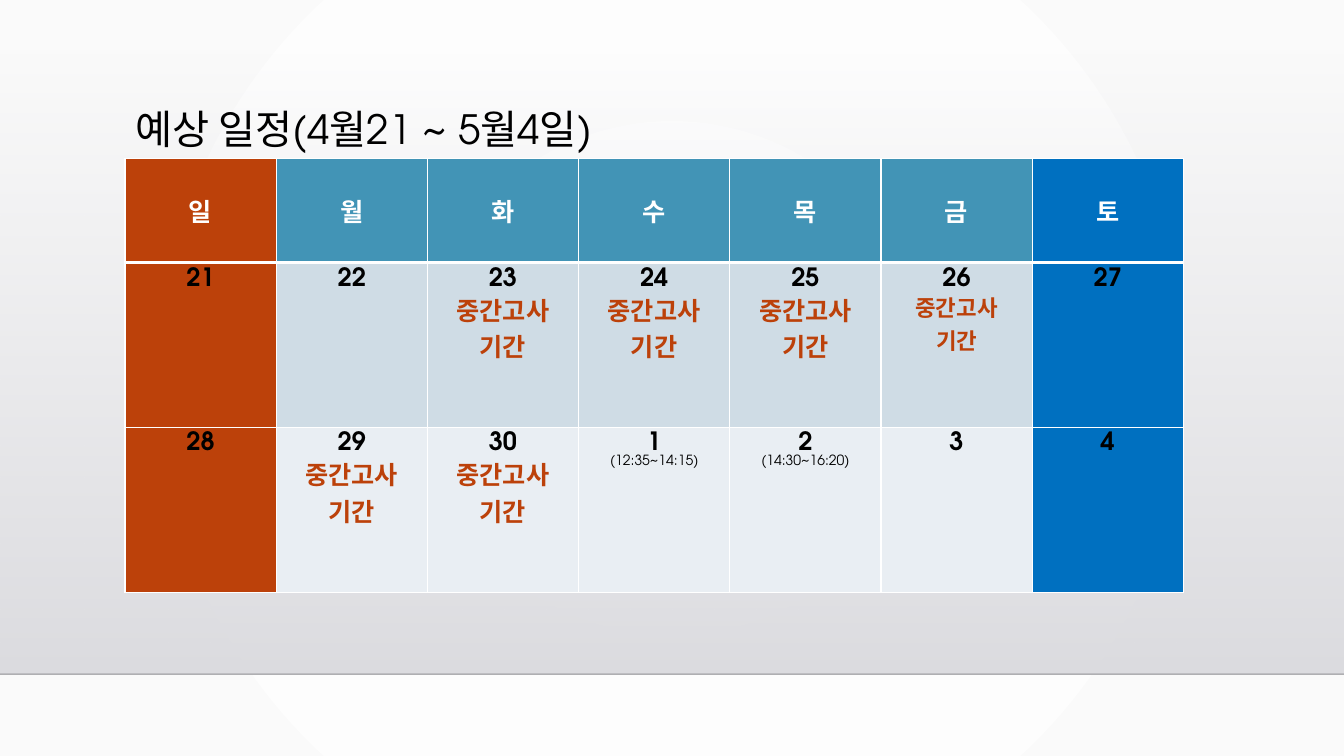
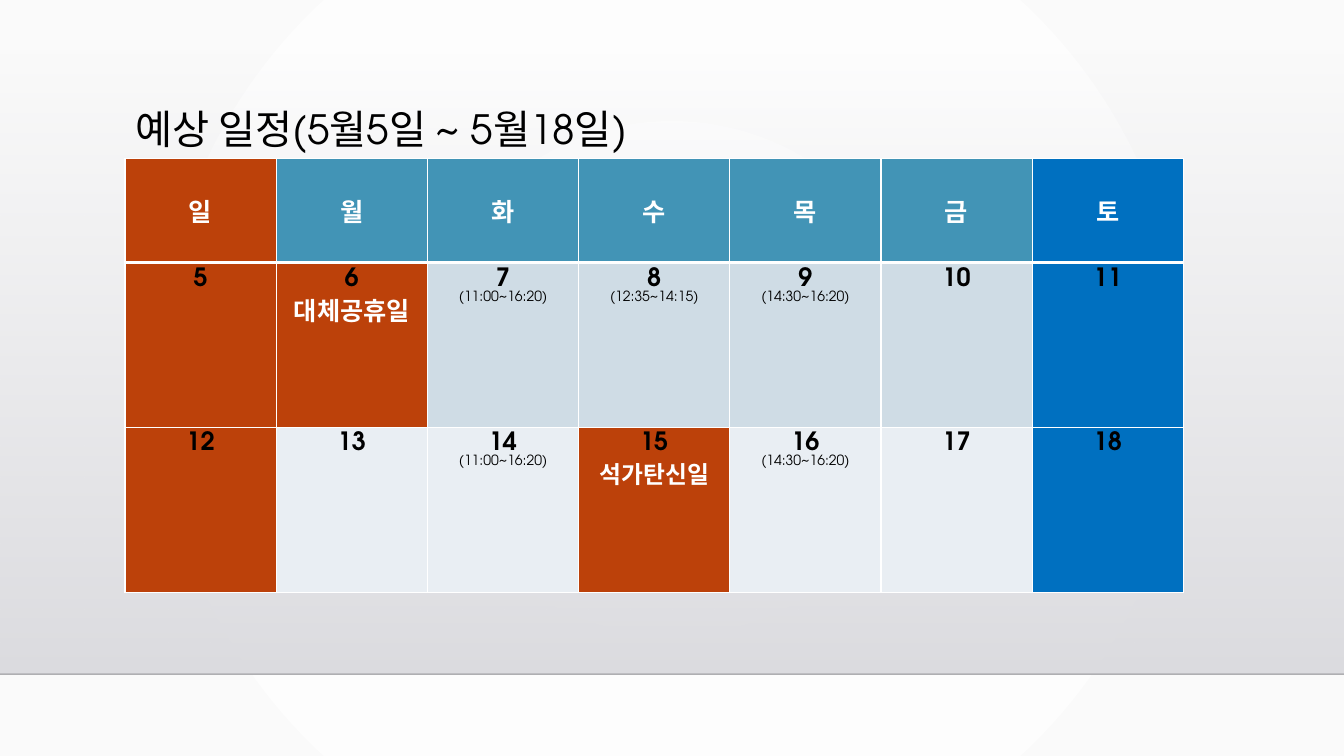
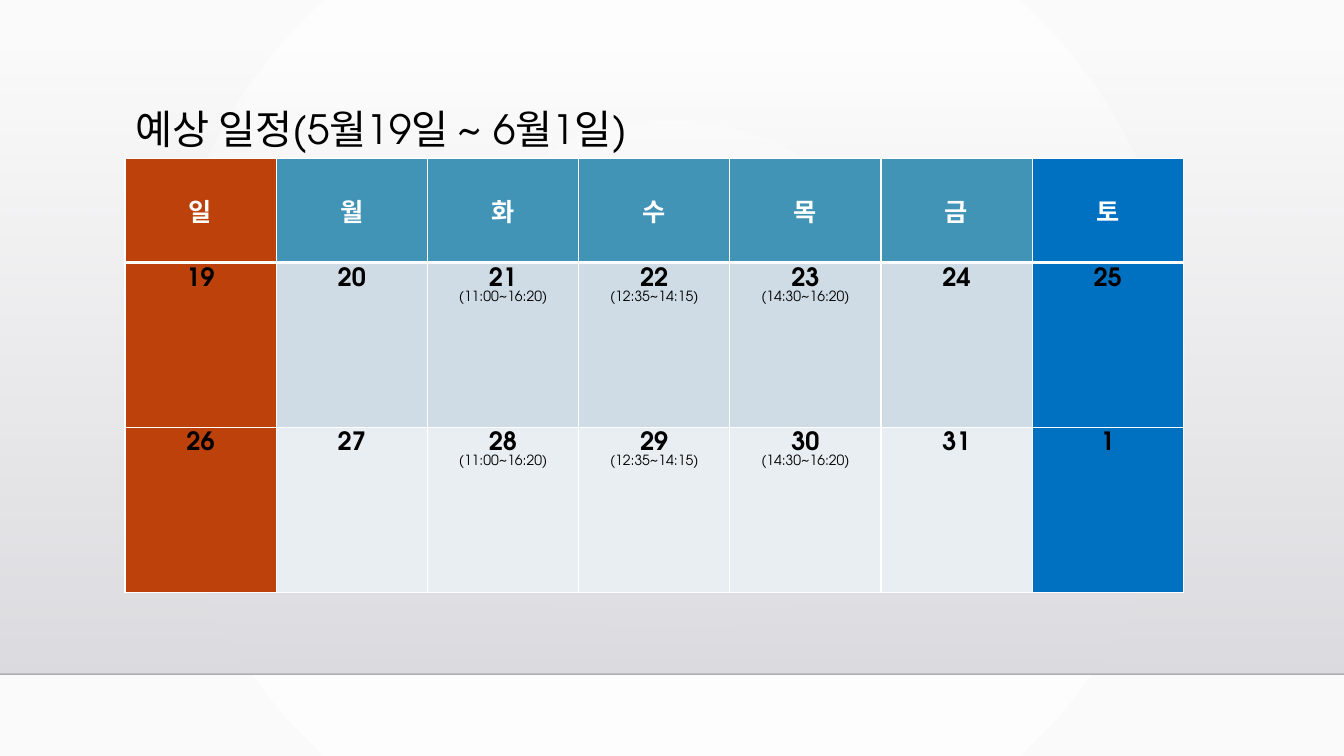
from lxml import etree
from pptx import Presentation
from pptx import util as u
from pptx.dml.color import RGBColor
from pptx.enum import shapes, text
from pptx.oxml import parse_xml
from pptx.oxml.ns import nsdecls, qn

PX = 9525
FONT = "TeX Gyre Adventor"
BLACK = RGBColor(0x00, 0x00, 0x00)
WHITE = RGBColor(0xFF, 0xFF, 0xFF)
LINE = RGBColor(0x00, 0x00, 0x01)
RUST = RGBColor(0xBC, 0x41, 0x0A)
TEAL = RGBColor(0x42, 0x94, 0xB6)
BLUE = RGBColor(0x00, 0x70, 0xC0)
WEEK_FILLS = [RGBColor(0xCF, 0xDC, 0xE5), RGBColor(0xE9, 0xEE, 0xF3)]

LEFT, WIDTH = 119, 1008
TITLE_TOP, TABLE_TOP = 100, 151
BAND_TOP, BAND_BOTTOM = 49, 642
ROW_HEIGHTS = [99, 157, 157]
WEEKDAYS = "일월화수목금토"

# Each note is a list of (text, size, bold, colour) lines below the date.
EXAM = [("중간고사", 18, True, RUST), ("기간", 18, True, RUST)]
EXAM_SMALL = [("중간고사", 16, True, RUST), ("기간", 16, True, RUST)]
TUE = [("(11:00~16:20)", 10, False, BLACK)]
WED = [("(12:35~14:15)", 10, False, BLACK)]
THU = [("(14:30~16:20)", 10, False, BLACK)]
SUBSTITUTE = [("대체공휴일", 18, True, WHITE)]
BUDDHA = [("석가탄신일", 17, True, WHITE)]
HOLIDAYS = (SUBSTITUTE, BUDDHA)
CLASSES = {2: TUE, 3: WED, 4: THU}

# Title, first date, days in that month, notes of both weeks by weekday column.
CALENDARS = [
    ("예상 일정(4월21 ~ 5월4일)", 21, 30,
     [{2: EXAM, 3: EXAM, 4: EXAM, 5: EXAM_SMALL},
      {1: EXAM, 2: EXAM, 3: WED, 4: THU}]),
    ("예상 일정(5월5일 ~ 5월18일)", 5, 31,
     [{1: SUBSTITUTE, **CLASSES}, {**CLASSES, 3: BUDDHA}]),
    ("예상 일정(5월19일 ~ 6월1일)", 19, 31, [CLASSES, CLASSES]),
]


def add_run(p, content, size, bold, color):
    r = p.add_run()
    r.text = content
    r.font.name = FONT
    r.font.size = u.Pt(size)
    r.font.bold = bold
    r.font.color.rgb = color


def fill_cell(cell, fill, lines, bottom_width):
    """Set the fill, white borders and centred lines of a cell."""
    tcPr = cell._tc.get_or_add_tcPr()
    for side in ("lnL", "lnR", "lnT", "lnB"):
        width = u.Pt(bottom_width if side == "lnB" else 1)
        tcPr.append(parse_xml(
            f'<a:{side} {nsdecls("a")} w="{width}"><a:solidFill>'
            f'<a:srgbClr val="{WHITE}"/></a:solidFill></a:{side}>'))
    cell.fill.solid()
    cell.fill.fore_color.rgb = fill
    tf = cell.text_frame
    for i, line in enumerate(lines):
        p = tf.add_paragraph() if i else tf.paragraphs[0]
        p.alignment = text.PP_ALIGN.CENTER
        add_run(p, *line)


prs = Presentation()
prs.slide_width, prs.slide_height = 1280 * PX, 720 * PX
layout = prs.slide_layouts.get_by_name("Title Only")

# Shared background
bg = prs.slide_master.background
bg.fill.gradient()
grad = next(prs.slide_master.element.iter(qn("a:gradFill")))
grad.getparent().replace(grad, parse_xml(
    f'<a:gradFill {nsdecls("a")} rotWithShape="1"><a:gsLst>'
    '<a:gs pos="0"><a:srgbClr val="FFFFFF"/></a:gs>'
    '<a:gs pos="100000"><a:srgbClr val="FAFAFA"/></a:gs></a:gsLst>'
    '<a:path path="circle"><a:fillToRect l="50000" t="50000" r="50000" b="50000"/>'
    '</a:path></a:gradFill>'))

# Shared title position
title = layout.placeholders[0]
title.left, title.top = LEFT * PX, TITLE_TOP * PX
title.width, title.height = WIDTH * PX, (TABLE_TOP - TITLE_TOP) * PX
title.text_frame.vertical_anchor = text.MSO_ANCHOR.MIDDLE
title.text_frame.auto_size = text.MSO_AUTO_SIZE.NONE

slides = [prs.slides.add_slide(layout) for _ in CALENDARS]

# Shared band and rule, drawn once and moved to the layout
band = slides[0].shapes.add_shape(
    shapes.MSO_SHAPE.RECTANGLE, 0, BAND_TOP * PX,
    prs.slide_width, (BAND_BOTTOM - BAND_TOP) * PX)
band.shadow.inherit = False
band.line.fill.background()
band.fill.gradient()
grad = band.element.spPr.find(qn("a:gradFill"))
band.element.spPr.replace(grad, parse_xml(
    f'<a:gradFill {nsdecls("a")}><a:gsLst>'
    '<a:gs pos="0"><a:srgbClr val="DCDCE0"><a:alpha val="0"/></a:srgbClr></a:gs>'
    '<a:gs pos="100000"><a:srgbClr val="DEDEE2"/></a:gs></a:gsLst>'
    '<a:lin ang="5400000" scaled="0"/></a:gradFill>'))

rule = slides[0].shapes.add_connector(
    shapes.MSO_CONNECTOR.STRAIGHT, 0, BAND_BOTTOM * PX,
    prs.slide_width, BAND_BOTTOM * PX)
rule.line.color.rgb = LINE
rule.line.width = u.Pt(1)
color = next(rule.element.spPr.iter(qn("a:srgbClr")))
etree.SubElement(color, qn("a:alpha")).set("val", "20000")
etree.SubElement(rule.element.spPr, qn("a:effectLst"))
for i, sp in enumerate((band, rule)):
    layout.shapes.element.insert(2 + i, sp.element)

for s, (heading, first, month_days, weeks) in zip(slides, CALENDARS):
    p = s.shapes.title.text_frame.paragraphs[0]
    p.alignment = text.PP_ALIGN.LEFT
    p.line_spacing = 0.9
    add_run(p, heading, 28.8, False, BLACK)

    table = s.shapes.add_table(
        len(ROW_HEIGHTS), len(WEEKDAYS), LEFT * PX, TABLE_TOP * PX,
        WIDTH * PX, sum(ROW_HEIGHTS) * PX).table
    for row, height in zip(table.rows, ROW_HEIGHTS):
        row.height = height * PX

    for col, weekday in enumerate(WEEKDAYS):
        weekend = {0: RUST, 6: BLUE}.get(col)
        header = table.cell(0, col)
        header.vertical_anchor = text.MSO_ANCHOR.MIDDLE
        fill_cell(header, weekend or TEAL, [(weekday, 18, True, WHITE)], 3)
        for week, notes in enumerate(weeks):
            day = (first + 7 * week + col - 1) % month_days + 1
            note = notes.get(col, [])
            fill = RUST if note in HOLIDAYS else weekend or WEEK_FILLS[week]
            fill_cell(table.cell(week + 1, col), fill,
                      [(str(day), 18, True, BLACK)] + note, 1)

prs.save("out.pptx")
